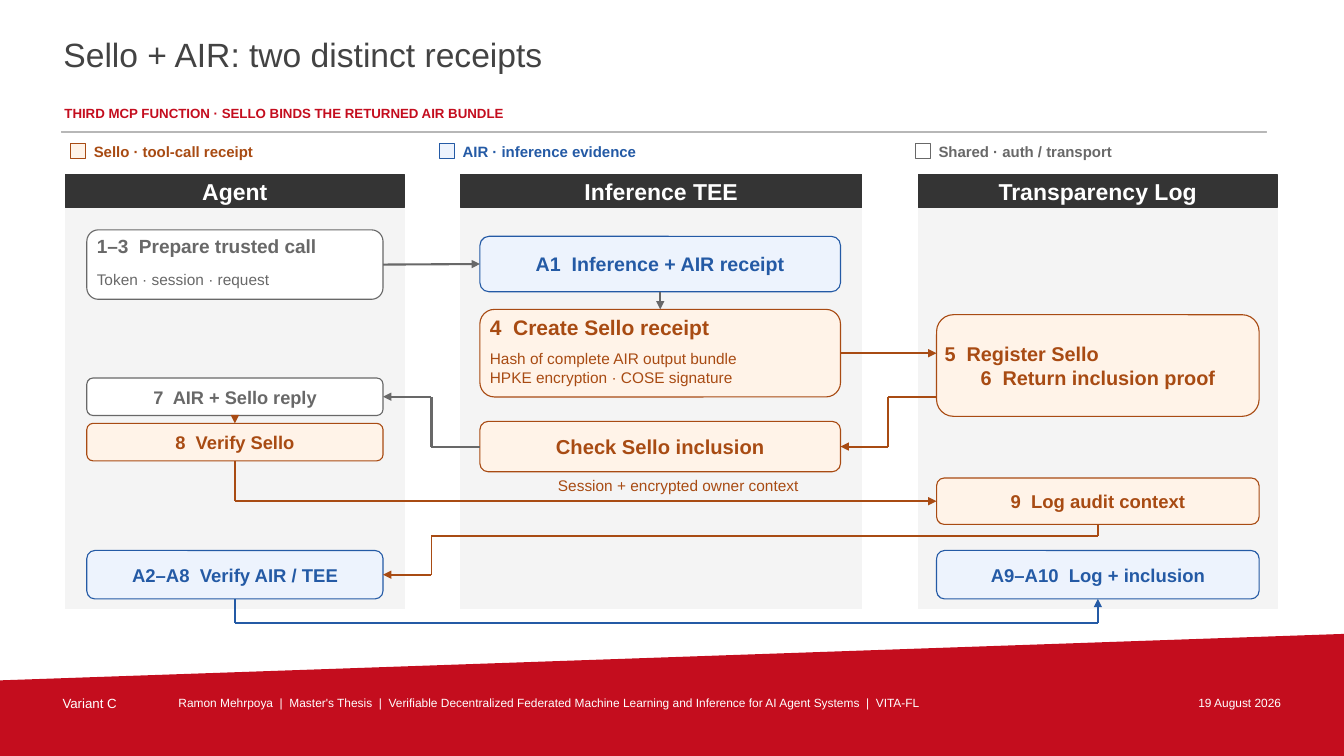
import pptx
import pptx.dml.color
import pptx.enum.shapes
import pptx.enum.text
import pptx.oxml.ns
import pptx.util

Pt = pptx.util.Pt
RGBColor = pptx.dml.color.RGBColor
ALIGN = pptx.enum.text.PP_ALIGN
ANCHOR = pptx.enum.text.MSO_ANCHOR
SHAPE = pptx.enum.shapes.MSO_SHAPE

RED = RGBColor(0xC4, 0x0D, 0x1E)
WHITE = RGBColor(0xFF, 0xFF, 0xFF)
TITLE_GRAY = RGBColor(0x43, 0x43, 0x43)
RULE_GRAY = RGBColor(0xB7, 0xB7, 0xB7)
LANE_FILL = RGBColor(0xF4, 0xF4, 0xF4)
HEADER_FILL = RGBColor(0x34, 0x34, 0x34)
GRAY = RGBColor(0x68, 0x68, 0x68)
BROWN = RGBColor(0xA8, 0x4B, 0x13)
BLUE = RGBColor(0x24, 0x5A, 0xA5)
CREAM = RGBColor(0xFF, 0xF3, 0xE8)
PALE_BLUE = RGBColor(0xED, 0xF3, 0xFD)

SELLO = (CREAM, BROWN)
AIR = (PALE_BLUE, BLUE)
SHARED = (WHITE, GRAY)

AGENT_BOX = (62, 211.6)
TEE_BOX = (342.8, 257.6)
LOG_BOX = (669, 230.4)
TOP, LEFT, BOTTOM, RIGHT = range(4)
CORNER_INSET = 0.05


def write_text(frame, text, size, color, bold=False, align=ALIGN.LEFT, before=0):
    paragraph = frame.add_paragraph() if frame.text else frame.paragraphs[0]
    paragraph.alignment = align
    if before:
        paragraph.space_before = Pt(before)
    run = paragraph.add_run()
    run.text = text
    run.font.name = "Arial"
    run.font.size = Pt(size)
    run.font.bold = bold
    run.font.color.rgb = color


def set_frame(frame, anchor, left=0, top=0):
    frame.word_wrap = True
    frame.vertical_anchor = anchor
    frame.margin_left = frame.margin_right = Pt(left)
    frame.margin_top = frame.margin_bottom = Pt(top)


def add_label(slide, text, bounds, margin=0, anchor=ANCHOR.MIDDLE, **text_format):
    label = slide.shapes.add_textbox(*map(Pt, bounds))
    set_frame(label.text_frame, anchor, margin, margin)
    write_text(label.text_frame, text, **text_format)


def add_block(slide, kind, bounds, fill, line, width=0.8):
    shape = slide.shapes.add_shape(kind, *map(Pt, bounds))
    shape.shadow.inherit = False
    shape.fill.solid()
    shape.fill.fore_color.rgb = fill
    shape.line.color.rgb = line
    shape.line.width = Pt(width)
    return shape


def add_step(slide, column, top, height, colors, title, size, align=ALIGN.CENTER,
             details=(), anchor=ANCHOR.MIDDLE, inset=5.8):
    left, width = column
    shape = add_block(slide, SHAPE.ROUNDED_RECTANGLE, (left, top, width, height), *colors)
    corner = CORNER_INSET * height
    top_margin = 3.6 - corner if anchor == ANCHOR.TOP else 0
    set_frame(shape.text_frame, anchor, inset - corner, top_margin)
    write_text(shape.text_frame, title, size, colors[1], bold=True, align=align)
    for text, text_format in details:
        write_text(shape.text_frame, text, color=colors[1], **text_format)
    return shape


def add_lane(slide, title, left, width):
    add_block(slide, SHAPE.RECTANGLE, (left, 124.6, width, 310.2), LANE_FILL, LANE_FILL)
    header = add_block(slide, SHAPE.RECTANGLE, (left, 124.6, width, 23.8), HEADER_FILL, HEADER_FILL)
    set_frame(header.text_frame, ANCHOR.MIDDLE)
    write_text(header.text_frame, title, 16.4, WHITE, bold=True, align=ALIGN.CENTER)


def add_legend(slide, text, left, colors):
    add_block(slide, SHAPE.RECTANGLE, (left, 102.2, 10.8, 10.8), *colors)
    add_label(slide, text, (left + 16.6, 99.6, 216, 16.6), size=10.7, color=colors[1], bold=True)


def add_route(slide, points, color, start=None, end=None, width=1.5):
    last = len(points) - 2
    for index, (origin, target) in enumerate(zip(points, points[1:])):
        connector = slide.shapes.add_connector(
            pptx.enum.shapes.MSO_CONNECTOR.STRAIGHT, *map(Pt, origin + target))
        connector.line.color.rgb = color
        connector.line.width = Pt(width)
        if index == 0 and start:
            connector.begin_connect(*start)
        if index == last and end:
            connector.end_connect(*end)
        properties = connector.element.spPr
        if index == last:
            line = properties.find(pptx.oxml.ns.qn("a:ln"))
            line.append(line.makeelement(pptx.oxml.ns.qn("a:tailEnd"), {"type": "triangle"}))
        properties.append(properties.makeelement(pptx.oxml.ns.qn("a:effectLst"), {}))


def add_footer(slide):
    builder = slide.shapes.build_freeform(Pt(0), Pt(486))
    corners = [(960, 452.8), (960, 540), (0, 540)]
    builder.add_line_segments([(Pt(x), Pt(y)) for x, y in corners], close=True)
    band = builder.convert_to_shape()
    band.shadow.inherit = False
    band.fill.solid()
    band.fill.fore_color.rgb = RED
    band.line.fill.background()
    thesis = ("Ramon Mehrpoya  |  Master's Thesis  |  Verifiable Decentralized Federated "
              "Machine Learning and Inference for AI Agent Systems  |  VITA-FL")
    for text, left, width, size, align in [
        ("Variant C", 43.2, 82.8, 9.5, ALIGN.LEFT),
        (thesis, 126, 673.2, 8.5, ALIGN.LEFT),
        ("19 August 2026", 806.4, 110.2, 8.5, ALIGN.RIGHT),
    ]:
        add_label(slide, text, (left, 495.4, width, 15.8), margin=1.44, anchor=ANCHOR.TOP,
                  size=size, color=WHITE, align=align)


def add_heading(slide):
    add_label(slide, "Sello + AIR: two distinct receipts", (43.9, 23, 695, 44.6),
              margin=1.44, anchor=ANCHOR.TOP, size=24, color=TITLE_GRAY)
    add_label(slide, "THIRD MCP FUNCTION · SELLO BINDS THE RETURNED AIR BUNDLE",
              (44.6, 73.4, 698, 15.8), margin=1.44, anchor=ANCHOR.TOP,
              size=9.5, color=RED, bold=True)
    add_block(slide, SHAPE.RECTANGLE, (43.9, 93.6, 860.4, 1), RULE_GRAY, RULE_GRAY, 0.5)


def add_flow(slide):
    prepare = add_step(slide, AGENT_BOX, 164.2, 49.6, SHARED, "1–3  Prepare trusted call", 13.6,
                       ALIGN.LEFT, [("Token · session · request", {"size": 11, "before": 9})],
                       ANCHOR.TOP, 7.2)
    inference = add_step(slide, TEE_BOX, 168.8, 39.6, AIR, "A1  Inference + AIR receipt", 14)
    create = add_step(slide, TEE_BOX, 221, 62.6, SELLO, "4  Create Sello receipt", 15, ALIGN.LEFT,
                      [("Hash of complete AIR output bundle", {"size": 11, "before": 7}),
                       ("HPKE encryption · COSE signature", {"size": 11})],
                      ANCHOR.TOP, 7.2)
    add_step(slide, LOG_BOX, 224.8, 72.6, SELLO, "5  Register Sello", 14.2, ALIGN.LEFT,
             [("6  Return inclusion proof", {"size": 14.2, "bold": True, "align": ALIGN.CENTER})])
    check = add_step(slide, TEE_BOX, 301, 36, SELLO, "Check Sello inclusion", 14.4)
    reply = add_step(slide, AGENT_BOX, 270, 26.8, SHARED, "7  AIR + Sello reply", 13)
    verify = add_step(slide, AGENT_BOX, 302.4, 26.8, SELLO, "8  Verify Sello", 13.1)
    audit = add_step(slide, LOG_BOX, 341.4, 33.2, SELLO, "9  Log audit context", 13.2)
    add_label(slide, "Session + encrypted owner context", (333.4, 339.8, 302.4, 14.4),
              size=11, color=BROWN, align=ALIGN.CENTER)
    verify_air = add_step(slide, AGENT_BOX, 393.2, 34.6, AIR, "A2–A8  Verify AIR / TEE", 13.2)
    inclusion = add_step(slide, LOG_BOX, 393.2, 34.6, AIR, "A9–A10  Log + inclusion", 13.2)

    agent_right, tee_left, tee_right, log_left = 273.6, 342.8, 600.4, 669
    agent_middle, tee_middle, log_middle = 167.8, 471.6, 784.2
    left_gap, right_gap = 308.2, 634.4
    add_route(slide, [(agent_right, 189), (tee_left, 188.6)], GRAY,
              (prepare, RIGHT), (inference, LEFT))
    add_route(slide, [(tee_middle, 208.4), (tee_middle, 221)], GRAY,
              (inference, BOTTOM), (create, TOP))
    add_route(slide, [(tee_right, 252.3), (log_left, 252.3)], BROWN, (create, RIGHT))
    add_route(slide, [(log_left, 283.4), (right_gap, 283.4), (right_gap, 319), (tee_right, 319)],
              BROWN, end=(check, RIGHT))
    add_route(slide, [(tee_left, 319), (left_gap, 319), (left_gap, 283.4), (agent_right, 283.4)],
              GRAY, (check, LEFT), (reply, RIGHT))
    add_route(slide, [(agent_middle, 296.8), (agent_middle, 302.4)], BROWN,
              (reply, BOTTOM), (verify, TOP))
    add_route(slide, [(agent_middle, 329.2), (agent_middle, 358), (log_left, 358)], BROWN,
              (verify, BOTTOM), (audit, LEFT))
    add_route(slide, [(log_middle, 374.6), (log_middle, 383), (left_gap, 383),
                      (left_gap, 410.5), (agent_right, 410.5)], BROWN,
              (audit, BOTTOM), (verify_air, RIGHT), 1.25)
    add_route(slide, [(agent_middle, 427.8), (agent_middle, 445), (log_middle, 445),
                      (log_middle, 427.8)], BLUE, (verify_air, BOTTOM), (inclusion, BOTTOM))


def main():
    presentation = pptx.Presentation()
    presentation.slide_width = Pt(960)
    presentation.slide_height = Pt(540)
    slide = presentation.slides.add_slide(presentation.slide_layouts[6])
    add_footer(slide)
    add_heading(slide)
    add_legend(slide, "Sello · tool-call receipt", 50.4, SELLO)
    add_legend(slide, "AIR · inference evidence", 313.9, AIR)
    add_legend(slide, "Shared · auth / transport", 653.8, SHARED)
    add_lane(slide, "Agent", 46.8, 241.9)
    add_lane(slide, "Inference TEE", 329, 286.6)
    add_lane(slide, "Transparency Log", 655.9, 256.3)
    add_flow(slide)
    presentation.save("out.pptx")


if __name__ == "__main__":
    main()
